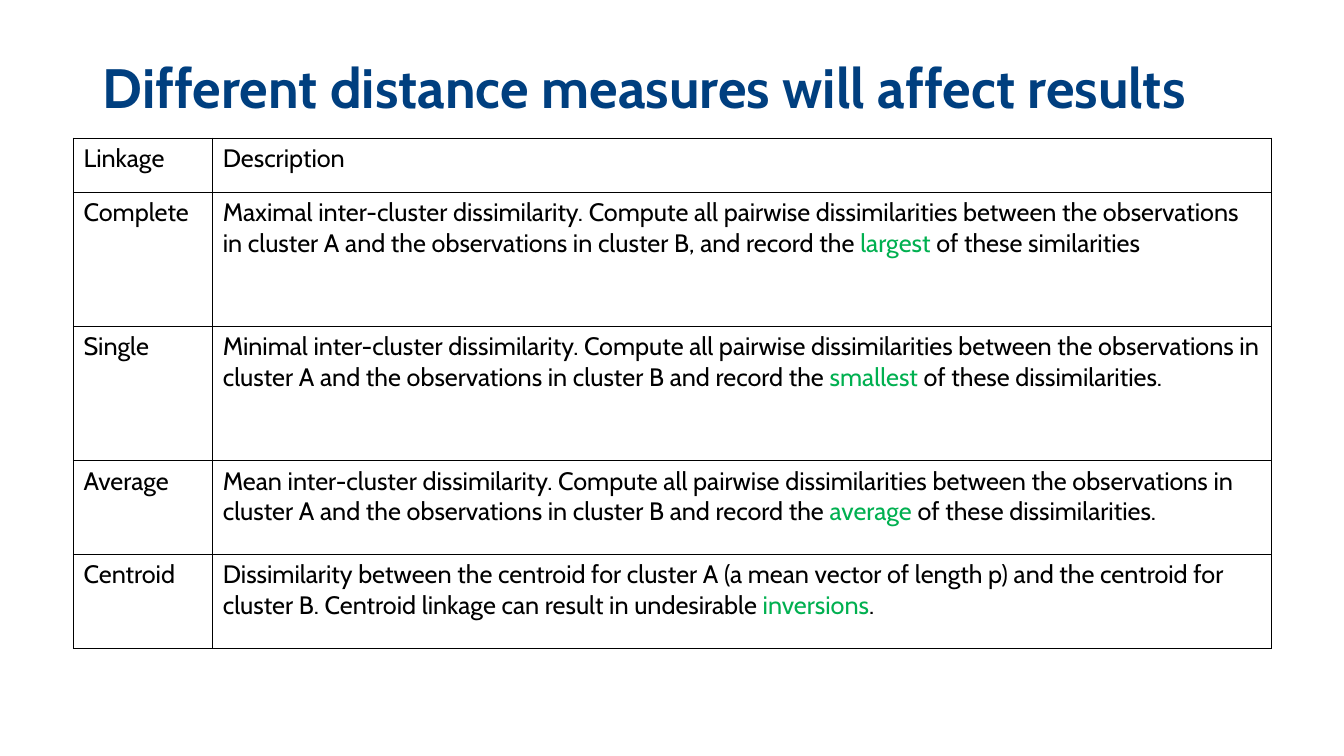
from lxml import etree
from pptx import Presentation
from pptx.dml.color import RGBColor
from pptx.enum.text import MSO_ANCHOR
from pptx.oxml.ns import qn
from pptx.util import Inches, Pt

FONT = "Cabin"
NAVY = RGBColor(0x00, 0x3F, 0x7F)
GREEN = RGBColor(0x00, 0xB0, 0x50)
BLACK = RGBColor(0, 0, 0)

TITLE = "Different distance measures will affect results"
COLUMN_WIDTHS = [1.38, 10.5]
ROWS = [
    (0.54, "Linkage", ["Description"]),
    (1.33, "Complete", [
        "Maximal inter-cluster dissimilarity. Compute all pairwise dissimilarities between the "
        "observations in cluster A and the observations in cluster B, and record the ",
        "largest", " of these similarities"]),
    (1.33, "Single", [
        "Minimal inter-cluster dissimilarity. Compute all pairwise dissimilarities between the "
        "observations in cluster A and the observations in cluster B and record the ",
        "smallest", " of these dissimilarities."]),
    (0.93, "Average", [
        "Mean inter-cluster dissimilarity. Compute all pairwise dissimilarities between the "
        "observations in cluster A and the observations in cluster B and record the ",
        "average", " of these dissimilarities."]),
    (0.93, "Centroid", [
        "Dissimilarity between the centroid for cluster A (a mean vector of length p) and the "
        "centroid for cluster B. Centroid linkage can result in undesirable ",
        "inversions", "."]),
]


def add_title(slide):
    box = slide.shapes.add_textbox(Inches(0.92), Inches(0.4), Inches(11.5), Inches(1))
    frame = box.text_frame
    frame.word_wrap = True
    frame.vertical_anchor = MSO_ANCHOR.MIDDLE
    paragraph = frame.paragraphs[0]
    paragraph.text = TITLE
    paragraph.line_spacing = 0.9
    font = paragraph.font
    font.name, font.size, font.bold = FONT, Pt(39.6), True
    font.color.rgb = NAVY


def add_borders(cell):
    properties = cell._tc.get_or_add_tcPr()
    for position, side in enumerate(("lnL", "lnR", "lnT", "lnB")):
        line = etree.Element(qn(f"a:{side}"), w=str(Pt(1)))
        fill = etree.SubElement(line, qn("a:solidFill"))
        etree.SubElement(fill, qn("a:srgbClr"), val=str(BLACK))
        properties.insert(position, line)


def fill_cell(cell, pieces):
    cell.fill.background()
    add_borders(cell)
    paragraph = cell.text_frame.paragraphs[0]
    paragraph.font.name, paragraph.font.size = FONT, Pt(18)
    for index, piece in enumerate(pieces):
        run = paragraph.add_run()
        run.text = piece
        run.font.bold = False
        run.font.color.rgb = GREEN if index == 1 else BLACK


def add_linkage_table(slide):
    heights = [row[0] for row in ROWS]
    table = slide.shapes.add_table(
        len(ROWS), len(COLUMN_WIDTHS), Inches(0.73), Inches(1.37),
        Inches(sum(COLUMN_WIDTHS)), Inches(sum(heights))).table
    table.first_row = table.horz_banding = False
    for column, width in zip(table.columns, COLUMN_WIDTHS):
        column.width = Inches(width)
    for row, (height, linkage, description) in zip(table.rows, ROWS):
        row.height = Inches(height)
        for cell, pieces in zip(row.cells, ([linkage], description)):
            fill_cell(cell, pieces)


def main():
    presentation = Presentation()
    presentation.slide_width = Inches(13.33)
    presentation.slide_height = Inches(7.5)
    slide = presentation.slides.add_slide(presentation.slide_layouts[6])
    add_title(slide)
    add_linkage_table(slide)
    presentation.save("out.pptx")


if __name__ == "__main__":
    main()
